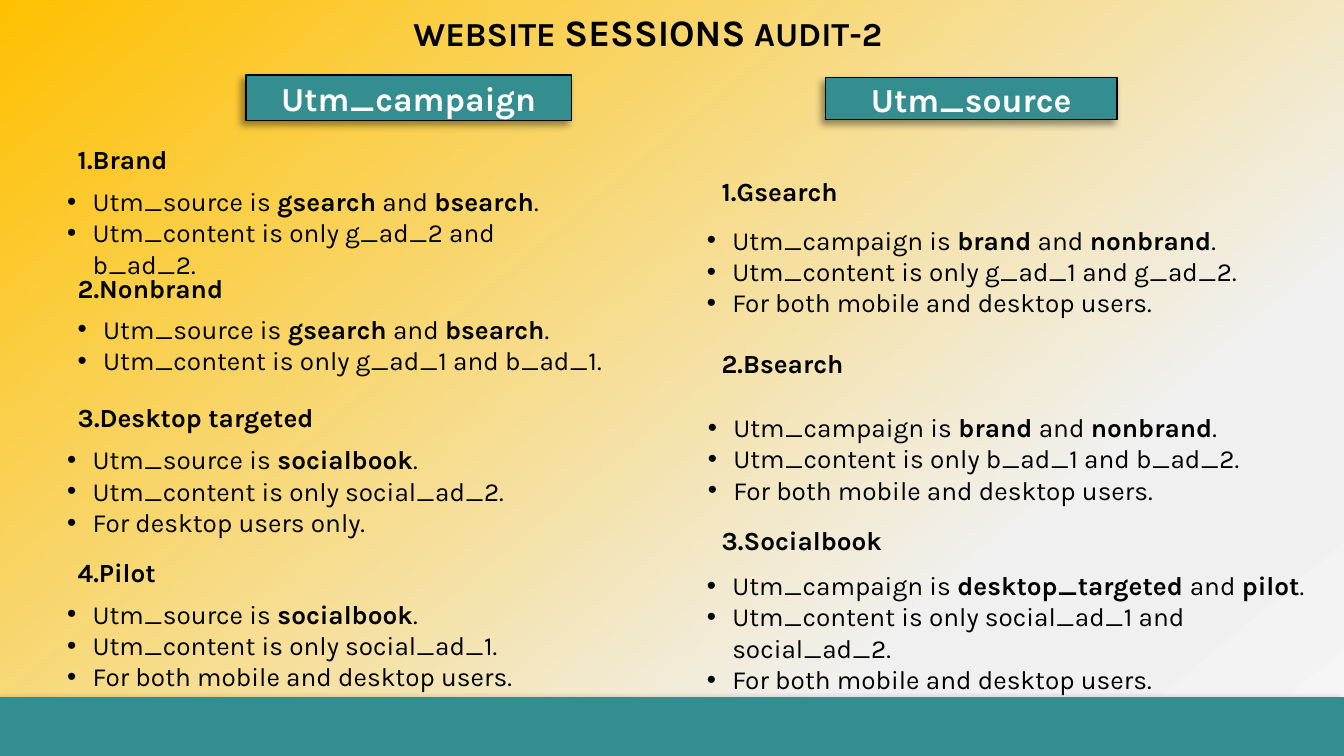
from lxml import etree
from pptx import Presentation
from pptx.dml.color import RGBColor
from pptx.enum.shapes import MSO_SHAPE
from pptx.enum.text import MSO_ANCHOR, MSO_AUTO_SIZE, PP_ALIGN
from pptx.oxml.ns import qn
from pptx.util import Cm, Pt

RECTANGLE = MSO_SHAPE.RECTANGLE
MIDDLE = MSO_ANCHOR.MIDDLE
CENTER = PP_ALIGN.CENTER
NO_FIT = MSO_AUTO_SIZE.NONE
GROW = MSO_AUTO_SIZE.SHAPE_TO_FIT_TEXT

TEAL, BLACK, WHITE = "348E90", "000000", "FFFFFF"
BACKGROUND_STOPS = [(0, "FFC000"), (74, "F0F0F0"), (83, "F0F0F0"), (100, "F5F5F5")]
BODY = {"name": "Karla", "size": Pt(14), "bold": False}
HEADING = BODY | {"bold": True}
LABEL = HEADING | {"size": Pt(18)}
TITLE_LARGE = HEADING | {"size": Pt(20)}

PAGE_WIDTH, PAGE_HEIGHT = 25.4, 14.29
HEADING_WIDTH, LINE_BOX_HEIGHT, LINE_HEIGHT = 7.72, 0.86, 0.6
BULLET_INDENT = 0.48

# Each section: heading, heading top, list (left, top, width), items.
# Asterisks enclose bold words.
CAMPAIGNS = [
    ("1.Brand", 2.59, (1.02, 3.38, 10.13), [
        "Utm_source is *gsearch* and *bsearch*.",
        "Utm_content is only g_ad_2 and b_ad_2."]),
    ("2.Nonbrand", 5.03, (1.22, 5.79, 10.57), [
        "Utm_source is *gsearch* and *bsearch*.",
        "Utm_content is only g_ad_1 and b_ad_1."]),
    ("3.Desktop targeted", 7.47, (1.02, 8.26, 9.78), [
        "Utm_source is *socialbook*.",
        "Utm_content is only social_ad_2.",
        "For desktop users only."]),
    ("4.Pilot", 10.39, (1.02, 11.18, 10.57), [
        "Utm_source is *socialbook*.",
        "Utm_content is only social_ad_1.",
        "For both mobile and desktop users."]),
]
SOURCES = [
    ("1.Gsearch", 3.2, (13.11, 4.11, 11.07), [
        "Utm_campaign is *brand* and *nonbrand*.",
        "Utm_content is only g_ad_1 and g_ad_2.",
        "For both mobile and desktop users."]),
    ("2.Bsearch", 6.45, (13.13, 7.65, 10.87), [
        "Utm_campaign is *brand* and *nonbrand*.",
        "Utm_content is only b_ad_1 and b_ad_2.",
        "For both mobile and desktop users."]),
    ("3.Socialbook", 9.78, (13.11, 10.64, 12.29), [
        "Utm_campaign is *desktop_targeted *and *pilot*.",
        "Utm_content is only social_ad_1 and social_ad_2.",
        "For both mobile and desktop users."]),
]


def rgb(color):
    return RGBColor.from_string(color)


def add_element(parent, tag, **attributes):
    return etree.SubElement(parent, qn(tag), attributes)


def add_span(para, text, style, color=BLACK):
    span = para.add_run()
    span.text = text
    for key, value in style.items():
        setattr(span.font, key, value)
    span.font.color.rgb = rgb(color)


def add_text_frame(page, box):
    frame = page.shapes.add_textbox(*map(Cm, box)).text_frame
    frame.word_wrap = True
    frame.auto_size = GROW
    return frame


def add_bullet(para):
    properties = para._p.get_or_add_pPr()
    properties.set("marL", str(Cm(BULLET_INDENT)))
    properties.set("indent", str(-Cm(BULLET_INDENT)))
    add_element(add_element(properties, "a:buClr"), "a:srgbClr", val=BLACK)
    add_element(properties, "a:buFont", typeface="Arial")
    add_element(properties, "a:buChar", char="•")


def paint_background(page):
    fill = page.background.fill
    fill.gradient()
    fill.gradient_angle = 360 - 50
    stops = page.element.find(".//" + qn("a:gsLst"))
    for stop in list(stops):
        stops.remove(stop)
    for percent, color in BACKGROUND_STOPS:
        stop = add_element(stops, "a:gs", pos=str(percent * 1000))
        add_element(stop, "a:srgbClr", val=color)


def style_panel(shape):
    """Fill a shape teal and give it a soft shadow to the lower left."""
    shape.fill.solid()
    shape.fill.fore_color.rgb = rgb(TEAL)
    shape.shadow.inherit = False
    effects = shape.element.spPr.find(qn("a:effectLst"))
    shadow = add_element(effects, "a:outerShdw", blurRad=str(Pt(4)), dist=str(Pt(3)),
                         dir=str(135 * 60000), algn="tr", rotWithShape="0")
    color = add_element(shadow, "a:srgbClr", val=BLACK)
    add_element(color, "a:alpha", val="40000")


def add_footer(page, box):
    band = page.shapes.add_shape(RECTANGLE, *map(Cm, box))
    band.line.fill.background()
    style_panel(band)


def format_label(shape, box, text):
    for key, value in zip(("left", "top", "width", "height"), box):
        setattr(shape, key, Cm(value))
    shape.line.color.rgb = rgb(BLACK)
    shape.line.width = Pt(0.75)
    style_panel(shape)
    frame = shape.text_frame
    frame.word_wrap = True
    frame.auto_size = NO_FIT
    frame.vertical_anchor = MIDDLE
    for side in ("left", "top", "right", "bottom"):
        setattr(frame, f"margin_{side}", Cm(0.25))
    para = frame.paragraphs[0]
    para.alignment = CENTER
    add_span(para, text, LABEL, WHITE)


def add_page_heading(page, box):
    para = add_text_frame(page, box).paragraphs[0]
    para.alignment = CENTER
    for text, style in (("WEBSITE ", LABEL), ("SESSIONS", TITLE_LARGE), (" AUDIT-2", LABEL)):
        add_span(para, text, style)


def add_bullet_list(page, box, items):
    frame = add_text_frame(page, box)
    for index, item in enumerate(items):
        para = frame.add_paragraph() if index else frame.paragraphs[0]
        add_bullet(para)
        for position, text in enumerate(item.split("*")):
            add_span(para, text, HEADING if position % 2 else BODY)


def add_column(page, left, sections):
    for heading, top, (list_left, list_top, list_width), items in sections:
        frame = add_text_frame(page, (left, top, HEADING_WIDTH, LINE_BOX_HEIGHT))
        add_span(frame.paragraphs[0], heading, HEADING)
        height = LINE_BOX_HEIGHT + LINE_HEIGHT * (len(items) - 1)
        add_bullet_list(page, (list_left, list_top, list_width, height), items)


def main():
    deck = Presentation()
    deck.slide_width, deck.slide_height = Cm(PAGE_WIDTH), Cm(PAGE_HEIGHT)
    page = deck.slides.add_slide(deck.slide_layouts[5])
    paint_background(page)
    add_footer(page, (0, 13.18, PAGE_WIDTH, PAGE_HEIGHT - 13.18))
    add_column(page, 1.22, CAMPAIGNS)
    add_column(page, 13.39, SOURCES)
    format_label(page.shapes.title, (4.65, 1.42, 6.15, 0.86), "Utm_campaign")
    source_box = (15.6, 1.47, 5.51, 0.79)
    source_label = page.shapes.add_shape(RECTANGLE, *map(Cm, source_box))
    format_label(source_label, source_box, "Utm_source")
    add_page_heading(page, (5.31, 0.05, 13.87, 1.12))
    deck.save("out.pptx")


if __name__ == "__main__":
    main()
